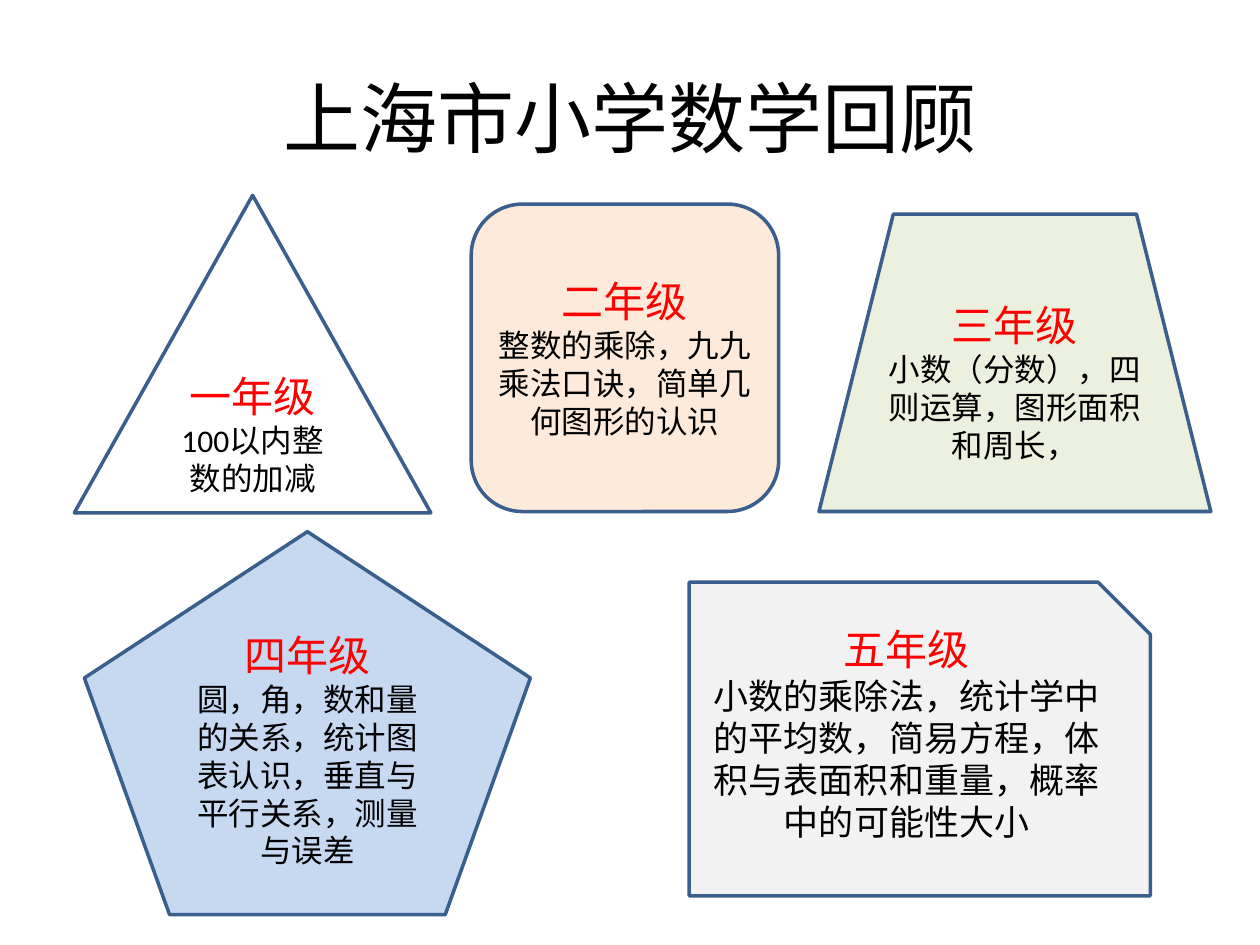
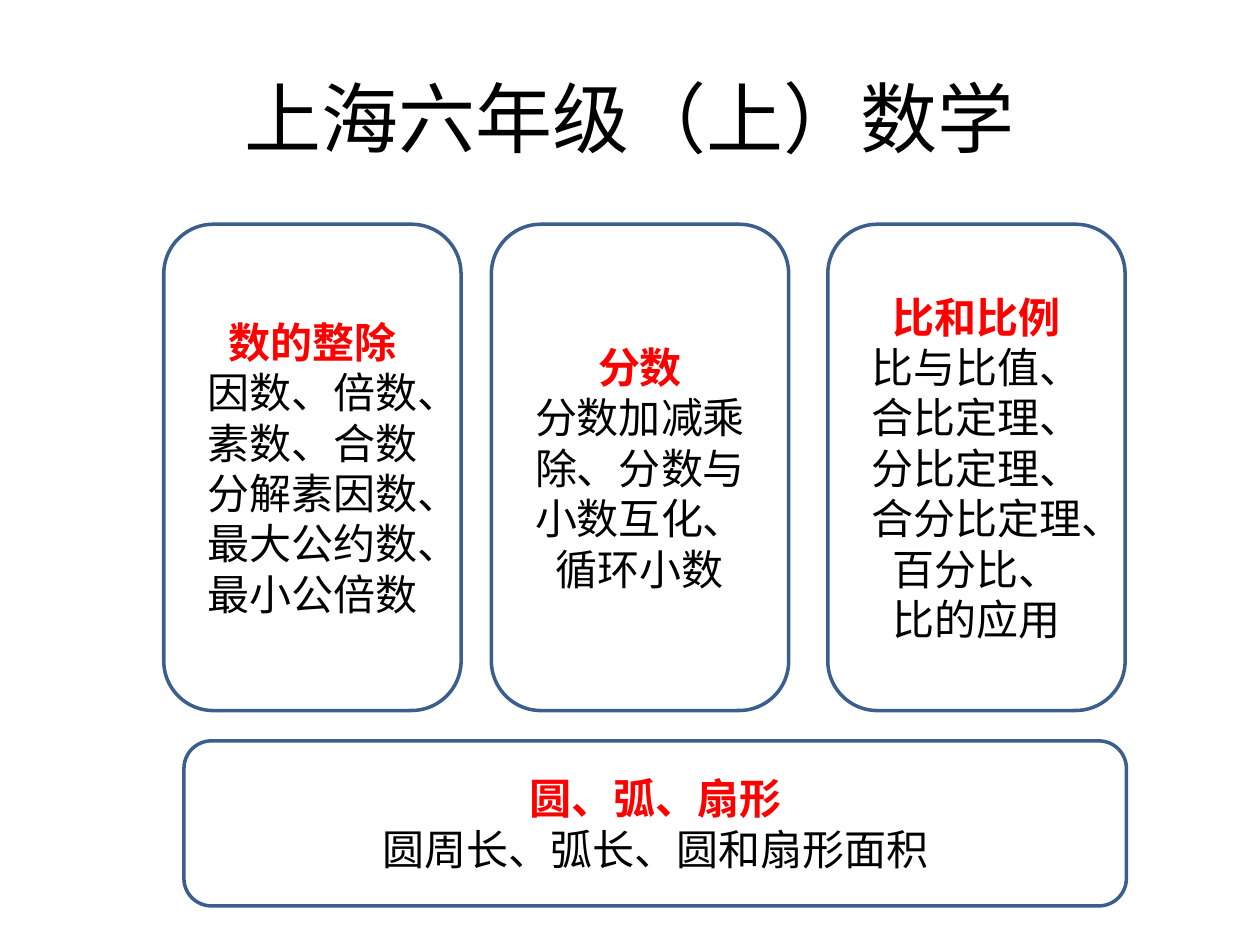
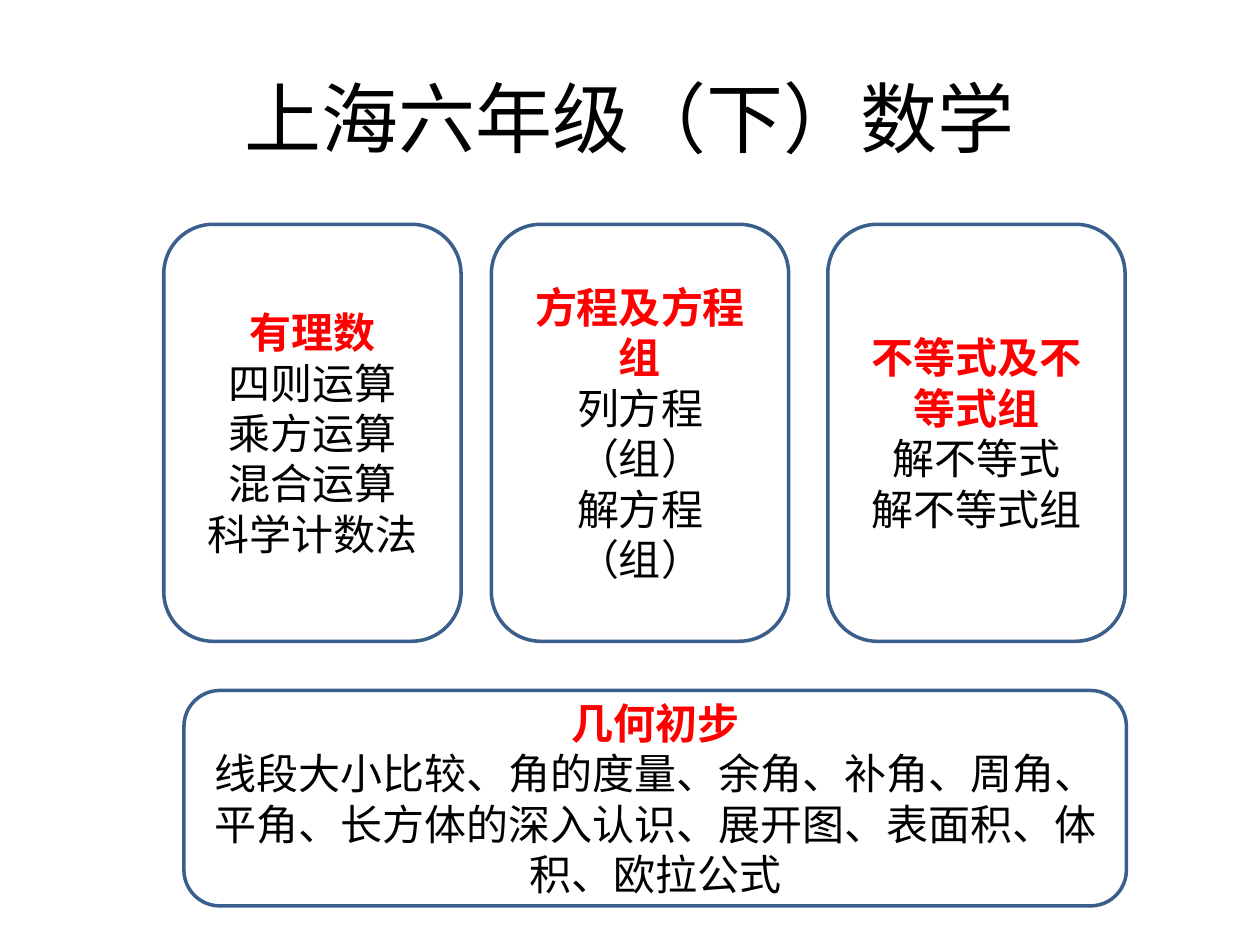
from pptx import Presentation
from pptx.dml.color import RGBColor
from pptx.enum.lang import MSO_LANGUAGE_ID
from pptx.enum.shapes import MSO_SHAPE
from pptx.enum.text import MSO_ANCHOR, PP_ALIGN
from pptx.util import Inches, Pt

BLACK = RGBColor(0x00, 0x00, 0x00)
RED = RGBColor(0xFF, 0x00, 0x00)
OUTLINE = RGBColor(0x3A, 0x5F, 0x8C)
PEACH = RGBColor(0xFD, 0xEA, 0xDA)
GREEN = RGBColor(0xEB, 0xF1, 0xDE)
BLUE = RGBColor(0xC6, 0xD9, 0xF1)
GRAY = RGBColor(0xF2, 0xF2, 0xF2)
FONT = "Calibri"

prs = Presentation()
prs.slide_width, prs.slide_height = Inches(10), Inches(7.5)


def add_slide(title):
    s = prs.slides.add_slide(prs.slide_layouts[5])
    t = s.shapes.title
    t.left, t.top, t.width, t.height = Inches(0.5), Inches(0.3), Inches(9), Inches(1.25)
    t.text_frame.text = title
    t.text_frame.vertical_anchor = MSO_ANCHOR.MIDDLE
    p = t.text_frame.paragraphs[0]
    p.alignment = PP_ALIGN.CENTER
    p.font.name, p.font.size = FONT, Pt(44)
    p.font.color.rgb = BLACK
    return s


def add_card(s, kind, box, heading, lines, size=24, bold=True, fill=None, bottom=0.05):
    sp = s.shapes.add_shape(kind, *[Inches(v) for v in box])
    sp.shadow.inherit = False
    if fill is None:
        sp.fill.background()
    else:
        sp.fill.solid()
        sp.fill.fore_color.rgb = fill
    sp.line.color.rgb = OUTLINE
    sp.line.width = Pt(2)
    tf = sp.text_frame
    tf.word_wrap = True
    tf.vertical_anchor = MSO_ANCHOR.MIDDLE
    tf.margin_bottom = Inches(bottom)
    tf.text = "\n".join([heading, *lines])
    for i, p in enumerate(tf.paragraphs):
        p.alignment = PP_ALIGN.CENTER
        p.font.name = FONT
        p.font.language_id = MSO_LANGUAGE_ID.SIMPLIFIED_CHINESE
        p.font.size = Pt(size if i else 24)
        p.font.bold = bold and i == 0
        p.font.color.rgb = BLACK if i else RED


s = add_slide("上海市小学数学回顾")
grades = [
    (MSO_SHAPE.ISOSCELES_TRIANGLE, (0.59, 1.55, 2.83, 2.52), None, 18, 0.05,
     "一年级", "100以内整数的加减"),
    (MSO_SHAPE.ROUNDED_RECTANGLE, (3.74, 1.62, 2.44, 2.44), PEACH, 18, 0.05,
     "二年级", "整数的乘除，九九乘法口诀，简单几何图形的认识"),
    (MSO_SHAPE.TRAPEZOID, (6.5, 1.7, 3.11, 2.36), GREEN, 18, 0.05,
     "三年级", "小数（分数），四则运算，图形面积和周长，"),
    (MSO_SHAPE.REGULAR_PENTAGON, (0.67, 4.22, 3.54, 3.04), BLUE, 18, 0.35,
     "四年级", "圆，角，数和量的关系，统计图表认识，垂直与平行关系，测量与误差"),
    (MSO_SHAPE.SNIP_1_RECTANGLE, (5.47, 4.62, 3.66, 2.49), GRAY, 20, 0.35,
     "五年级", "小数的乘除法，统计学中的平均数，简易方程，体积与表面积和重量，概率中的可能性大小"),
]
for kind, box, fill, size, bottom, heading, text in grades:
    add_card(s, kind, box, heading, [text], size, False, fill, bottom)

COLUMNS = [1.3, 3.9, 6.57]
COLUMN_TOP, COLUMN_WIDTH = 1.78, 2.36
BAND_LEFT, BAND_WIDTH, BAND_BOTTOM = 1.46, 7.48, 7.19

terms = [
    ("上海六年级（上）数学", 3.86, 5.88, [
        ("数的整除", ["因数、倍数、素数、合数", "分解素因数、最大公约数、最小公倍数"]),
        ("分数", ["分数加减乘除、分数与小数互化、循环小数"]),
        ("比和比例", ["比与比值、合比定理、分比定理、合分比定理、百分比、", "比的应用"]),
    ], ("圆、弧、扇形", ["圆周长、弧长、圆和扇形面积"])),
    ("上海六年级（下）数学", 3.31, 5.48, [
        ("有理数", ["四则运算", "乘方运算", "混合运算", "科学计数法"]),
        ("方程及方程组", ["列方程（组）", "解方程（组）"]),
        ("不等式及不等式组", ["解不等式", "解不等式组"]),
    ], ("几何初步", ["线段大小比较、角的度量、余角、补角、周角、平角、长方体的深入认识、"
                 "展开图、表面积、体积、欧拉公式"])),
]
for title, height, band_top, topics, band in terms:
    s = add_slide(title)
    for left, (heading, lines) in zip(COLUMNS, topics):
        add_card(s, MSO_SHAPE.ROUNDED_RECTANGLE,
                 (left, COLUMN_TOP, COLUMN_WIDTH, height), heading, lines)
    add_card(s, MSO_SHAPE.ROUNDED_RECTANGLE,
             (BAND_LEFT, band_top, BAND_WIDTH, BAND_BOTTOM - band_top), *band)

prs.save("out.pptx")
